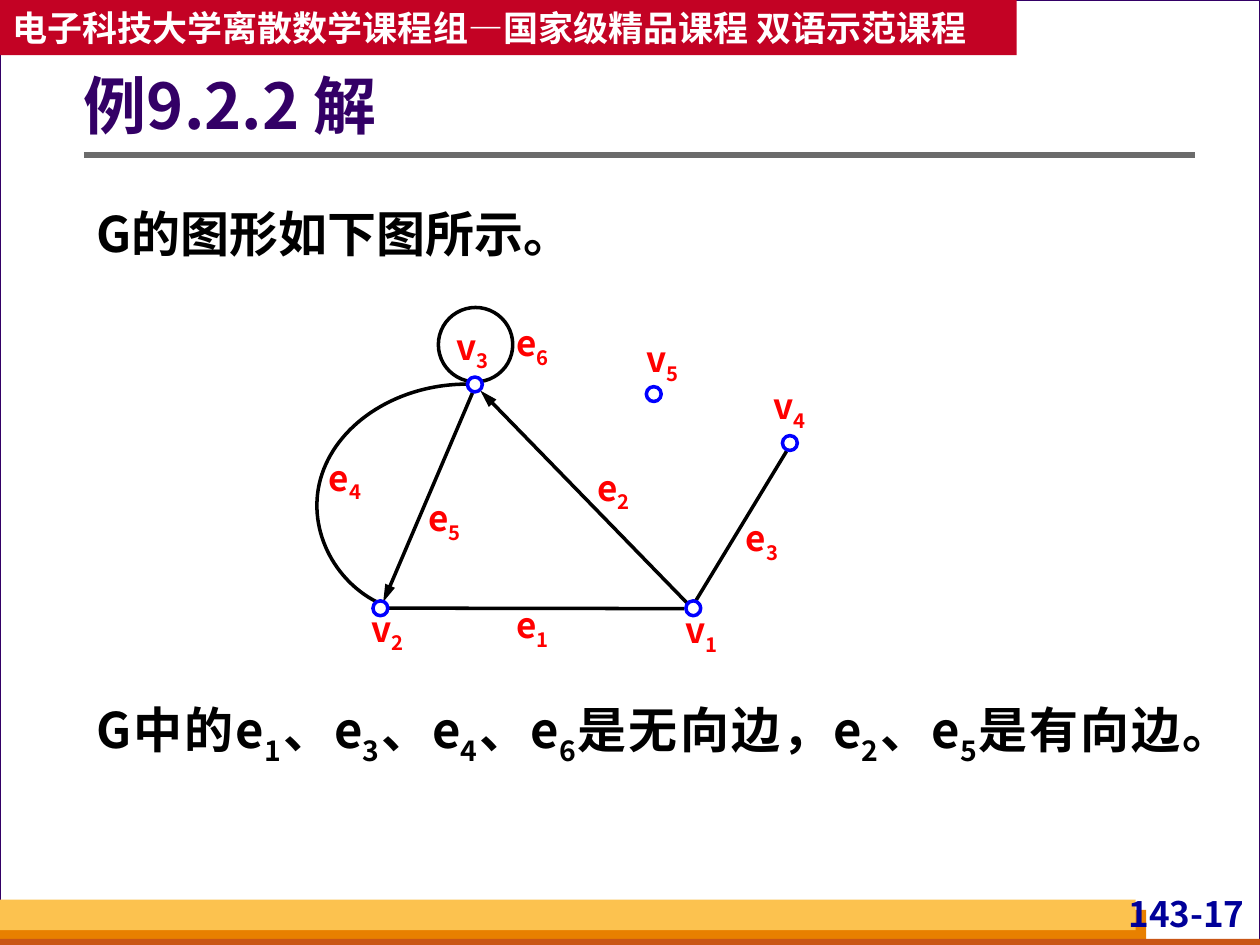
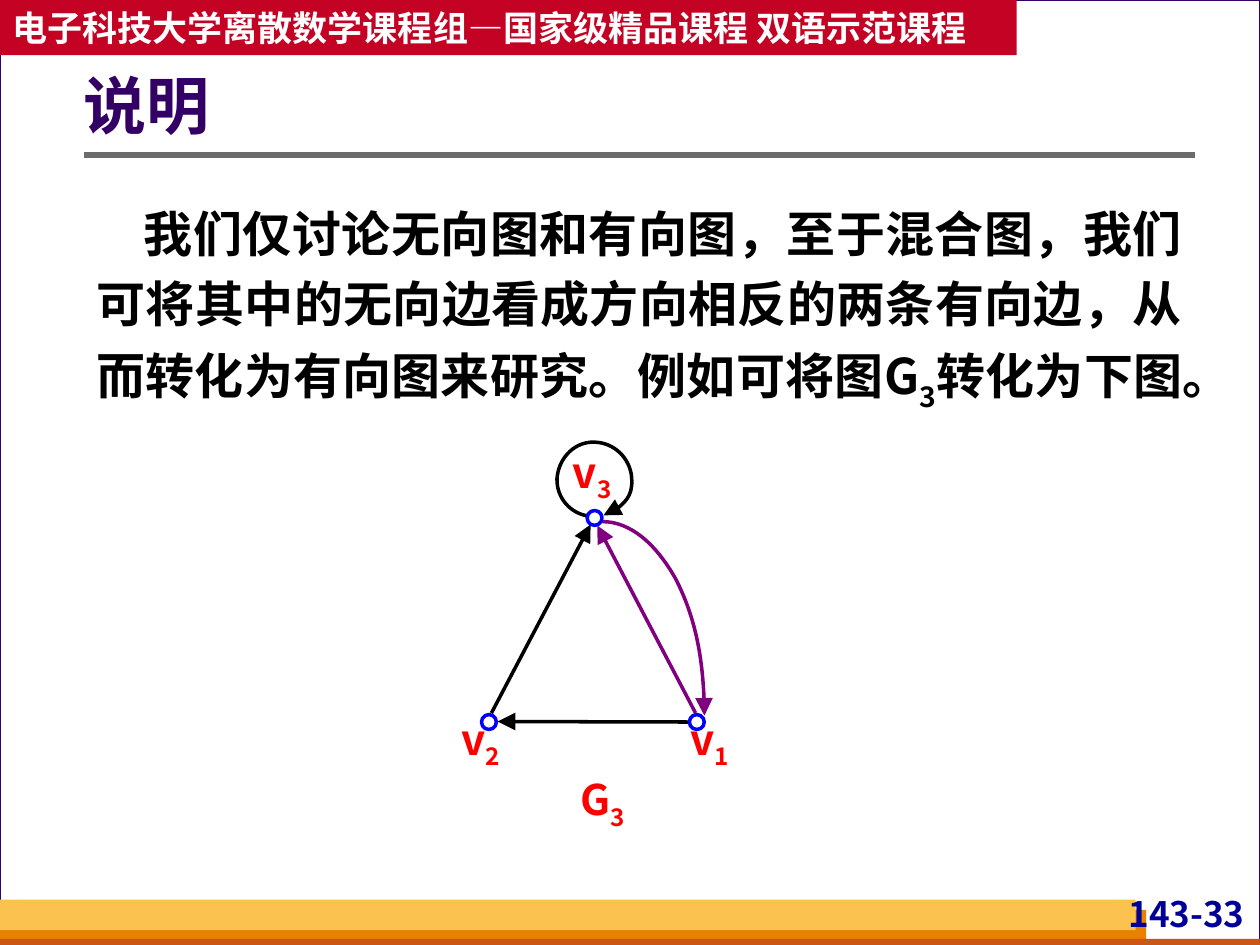
from lxml import etree
from pptx import Presentation
from pptx import util as u
from pptx.dml.color import RGBColor
from pptx.enum import shapes, text
from pptx.oxml import ns

Pt = u.Pt
FONT = "Noto Sans CJK SC"
RED, BLACK, PURPLE = "FF0000", "000000", "800080"
INK, BLUE, WHITE = "330066", "0000FF", "FFFFFF"
HEADER = "电子科技大学离散数学课程组—国家级精品课程 双语示范课程"
NODE = 8.5


def paint(sp, fill=None, line=None, width=2, arrow=None):
    if hasattr(sp, "fill"):
        if fill:
            sp.fill.solid()
            sp.fill.fore_color.rgb = RGBColor.from_string(fill)
        else:
            sp.fill.background()
    if line:
        sp.line.color.rgb = RGBColor.from_string(line)
        sp.line.width = Pt(width)
    else:
        sp.line.fill.background()
    spPr = sp._element.spPr
    if arrow:
        etree.SubElement(spPr.find(ns.qn("a:ln")), ns.qn("a:tailEnd"),
                         type="triangle", w=arrow, len="lg")
    etree.SubElement(spPr, ns.qn("a:effectLst"))


def write(tf, words, size, color, align, margins=(0, 0, 0, 0), spacing=1.0):
    tf.word_wrap = True
    tf.auto_size = text.MSO_AUTO_SIZE.NONE
    tf.margin_left, tf.margin_top, tf.margin_right, tf.margin_bottom = map(Pt, margins)
    p = tf.paragraphs[0]
    p.alignment, p.line_spacing, p.space_before = align, spacing, Pt(0)
    first, *rest = words.split("_")
    runs = [(first, False)]
    for part in rest:
        runs += [(part[0], True), (part[1:], False)]
    for words_part, sub in runs:
        if not words_part:
            continue
        r = p.add_run()
        r.text = words_part
        r.font.size, r.font.bold, r.font.name = Pt(size), True, FONT
        r.font.color.rgb = RGBColor.from_string(color)
        etree.SubElement(r.font._element, ns.qn("a:ea"), typeface=FONT)
        if sub:
            r.font._element.set("baseline", "-25000")
    return p


ALIGN = text.PP_ALIGN
BODY = (7.2, 3.6, 7.2, 3.6)
BANDS = [
    (0, 0, 720, 540, WHITE, INK),
    (0, 520, 655, 20, "E88000", None),
    (0, 536.5, 720, 5.5, "C95616", None),
    (0, 514, 649, 17.5, "FCC24F", None),
    (0, 0, 581, 31.5, "C30224", None),
]
SLIDES = [
    dict(
        title="例9.2.2 解", page="143-17",
        body="G的图形如下图所示。", height=47.5, indent=0,
        note="G中的e_1、e_3、e_4、e_6是无向边，e_2、e_5是有向边。",
        size=20, align=ALIGN.JUSTIFY, arrow="med", loop=(250.5, 175.7, 42.5),
        edges=[
            (220.5, 347.5, 391, 347.8, BLACK, False),
            (449.5, 257.8, 397.5, 343.5, BLACK, False),
            (394, 346, 274.5, 223.2, BLACK, True),
            (270, 224.5, 219, 344, BLACK, True),
        ],
        curves=[
            ([(267, 219.5), (228, 219.5), (194, 241), (184, 271),
              (174, 301), (191, 333), (217.5, 345)], BLACK, False),
        ],
        labels=[
            ("v_1", 391.7, 347.8), ("v_2", 212.4, 347), ("v_3", 260.7, 185.8),
            ("v_4", 442, 219.6), ("v_5", 369.4, 193),
            ("e_1", 295.2, 344.9), ("e_2", 341.3, 266.4), ("e_3", 426.2, 295.2),
            ("e_4", 187.9, 260.6), ("e_5", 244.8, 283.7), ("e_6", 295.2, 183.6),
        ],
        nodes=[(396.2, 347.6), (217.4, 347.6), (271.4, 219.7), (451.4, 253.2), (373.6, 225.2)],
    ),
    dict(
        title="说明", page="143-33",
        body="我们仅讨论无向图和有向图，至于混合图，我们可将其中的无向边看成方向相反的"
             "两条有向边，从而转化为有向图来研究。例如可将图G_3转化为下图。",
        height=174, indent=27, note=None,
        size=24, align=ALIGN.CENTER, arrow="lg", loop=None,
        edges=[
            (394.5, 412.6, 284.4, 412.3, BLACK, True),
            (397.5, 407.5, 341.3, 300.3, PURPLE, True),
            (280.8, 407.5, 337.5, 299.7, BLACK, True),
        ],
        curves=[
            ([(337, 295), (326, 293.8), (318, 284.5), (318.3, 273.6), (319, 262.8),
              (327, 253.4), (337.7, 252.7), (349.2, 252), (358.6, 259.9),
              (360.7, 270.7), (362.2, 281.5), (355.7, 291.6), (344.9, 294.5)], BLACK, True),
            ([(344.2, 298.1), (360, 298.1), (374.4, 310.3), (385.9, 330.5),
              (396.7, 351.4), (402.5, 378.7), (402.5, 409)], PURPLE, True),
        ],
        labels=[("v_1", 388.5, 407.5), ("v_2", 257.8, 407.5),
                ("v_3", 321.5, 254.9), ("G_3", 323.3, 442.1)],
        nodes=[(398.2, 412.6), (279.4, 412.6), (339.8, 296)],
    ),
]

prs = Presentation()
prs.slide_width, prs.slide_height = Pt(720), Pt(540)

for data in SLIDES:
    s = prs.slides.add_slide(prs.slide_layouts[1])
    s.background.fill.solid()
    s.background.fill.fore_color.rgb = RGBColor.from_string("D8DADA")
    title, body = s.placeholders

    for x, y, w, h, fill, line in BANDS:
        sp = s.shapes.add_shape(shapes.MSO_SHAPE.RECTANGLE, Pt(x), Pt(y), Pt(w), Pt(h))
        paint(sp, fill, line, 0.75)
    tf = sp.text_frame
    write(tf, HEADER, 20, WHITE, ALIGN.LEFT, BODY)
    tf.word_wrap = False
    tf.vertical_anchor = text.MSO_ANCHOR.MIDDLE

    tb = s.shapes.add_textbox(Pt(626.4), Pt(509.8), Pt(87.8), Pt(27.4))
    write(tb.text_frame, data["page"], 20, "000099", ALIGN.RIGHT, (2.9, 0, 2.9, 0))
    rule = s.shapes.add_connector(shapes.MSO_CONNECTOR.STRAIGHT, Pt(48), Pt(88.6), Pt(683), Pt(88.6))
    paint(rule, line="6B6B6B", width=3)

    s.shapes._spTree.append(title._element)
    title.left, title.top, title.width, title.height = Pt(48), Pt(26), Pt(635), Pt(72.7)
    write(title.text_frame, data["title"], 36, INK, ALIGN.LEFT, (0, 3.6, 7.2, 3.6), 0.9)
    title.text_frame.vertical_anchor = text.MSO_ANCHOR.MIDDLE

    s.shapes._spTree.append(body._element)
    body.left, body.top, body.width, body.height = Pt(48), Pt(105.8), Pt(635), Pt(data["height"])
    p = write(body.text_frame, data["body"], 28, BLACK, ALIGN.JUSTIFY, BODY, 1.2)
    pPr = p._p.get_or_add_pPr()
    pPr.set("marL", "0")
    pPr.set("indent", str(Pt(data["indent"])))
    etree.SubElement(pPr, ns.qn("a:buNone"))

    if data["note"]:
        tb = s.shapes.add_textbox(Pt(48), Pt(388.8), Pt(635), Pt(93.6))
        write(tb.text_frame, data["note"], 28, BLACK, ALIGN.JUSTIFY, BODY, 1.2)

    if data["loop"]:
        x, y, d = data["loop"]
        sp = s.shapes.add_shape(shapes.MSO_SHAPE.OVAL, Pt(x), Pt(y), Pt(d), Pt(d))
        paint(sp, line=BLACK)

    for x1, y1, x2, y2, color, directed in data["edges"]:
        edge = s.shapes.add_connector(shapes.MSO_CONNECTOR.STRAIGHT, Pt(x1), Pt(y1), Pt(x2), Pt(y2))
        paint(edge, line=color, arrow=data["arrow"] if directed else None)

    for points, color, directed in data["curves"]:
        start, *rest = [(Pt(x), Pt(y)) for x, y in points]
        fb = s.shapes.build_freeform(*start)
        fb.add_line_segments(rest, close=False)
        sp = fb.convert_to_shape()
        path = sp._element.spPr.find(".//" + ns.qn("a:path"))
        segments = path.findall(ns.qn("a:lnTo"))
        for i in range(0, len(segments), 3):
            bezier = etree.SubElement(path, ns.qn("a:cubicBezTo"))
            for segment in segments[i:i + 3]:
                bezier.append(segment[0])
                path.remove(segment)
        paint(sp, line=color, arrow=data["arrow"] if directed else None)

    for words, x, y in data["labels"]:
        w = 42.5 if words[0] == "G" else 33.8
        tb = s.shapes.add_textbox(Pt(x), Pt(y), Pt(w), Pt(data["size"] * 1.38))
        write(tb.text_frame, words, data["size"], RED, data["align"])

    for x, y in data["nodes"]:
        sp = s.shapes.add_shape(shapes.MSO_SHAPE.OVAL, Pt(x - NODE / 2), Pt(y - NODE / 2), Pt(NODE), Pt(NODE))
        paint(sp, WHITE, BLUE)

prs.save("out.pptx")
